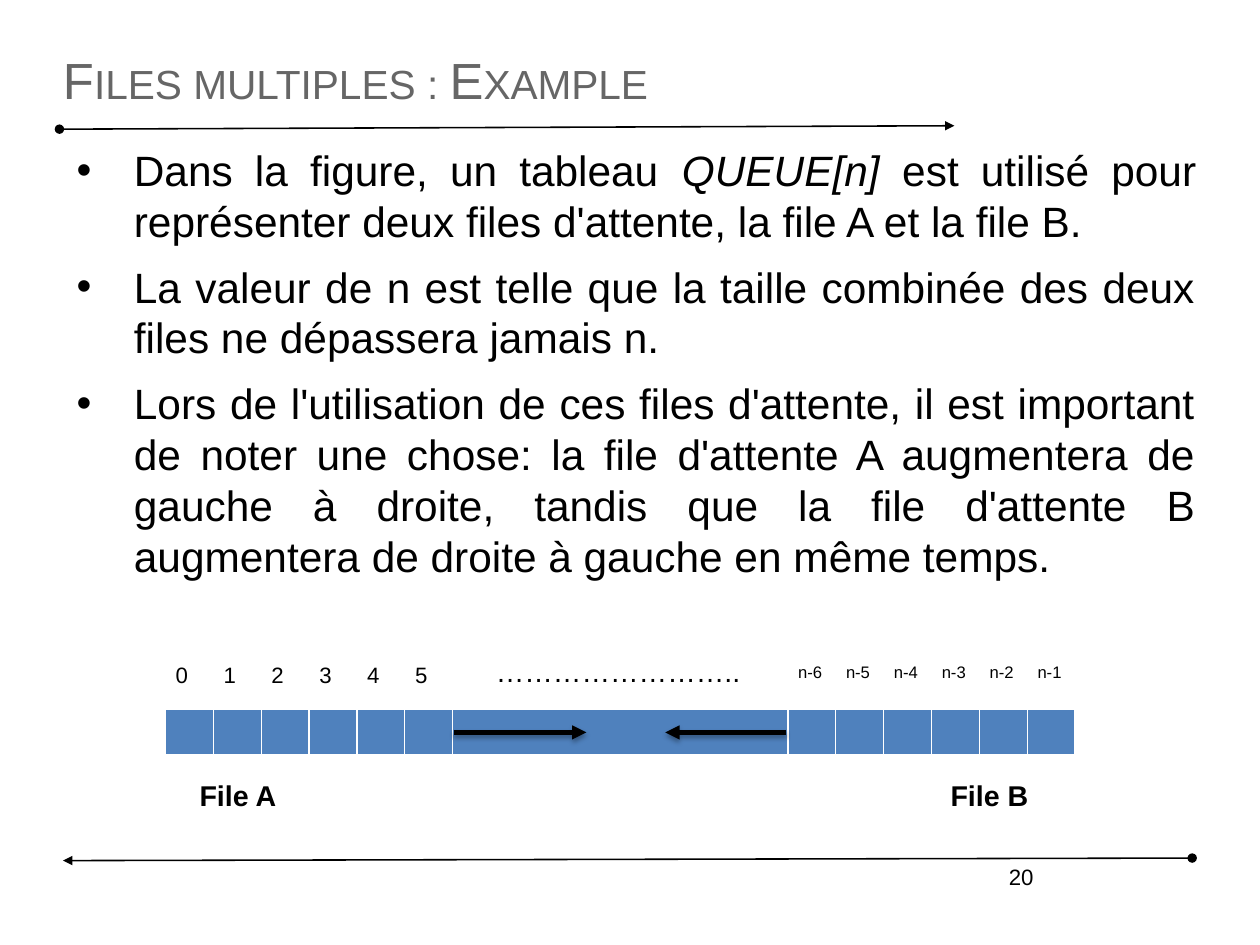
from lxml import etree
from pptx import Presentation
from pptx.dml.color import RGBColor
from pptx.enum.shapes import MSO_CONNECTOR
from pptx.enum.text import MSO_ANCHOR, MSO_AUTO_SIZE, PP_ALIGN
from pptx.oxml.ns import qn
from pptx.util import Cm, Inches, Pt

LEFT, RIGHT, JUSTIFY = PP_ALIGN.LEFT, PP_ALIGN.RIGHT, PP_ALIGN.JUSTIFY
TOP, MIDDLE = MSO_ANCHOR.TOP, MSO_ANCHOR.MIDDLE
NO_FIT = MSO_AUTO_SIZE.NONE
STRAIGHT = MSO_CONNECTOR.STRAIGHT

BLACK = RGBColor(0x00, 0x00, 0x00)
GREY = RGBColor(0x66, 0x66, 0x66)
WHITE = RGBColor(0xFF, 0xFF, 0xFF)
BLUE = RGBColor(0x4F, 0x81, 0xBD)

FONT = "Arial"
COLS, ROWS = 100, 75
CELL, GAP = 3.8, 7  # width of a queue cell; cells hidden in the middle gap

TITLE = "Files multiples : Example"
BULLETS = [
    [("Dans la figure, un tableau ", False), ("QUEUE[n]", True),
     (" est utilisé pour représenter deux files d'attente, "
      "la file A et la file B.", False)],
    [("La valeur de n est telle que la taille combinée des deux files "
      "ne dépassera jamais n.", False)],
    [("Lors de l'utilisation de ces files d'attente, il est important de "
      "noter une chose: la file d'attente A augmentera de gauche à droite, "
      "tandis que la file d'attente B augmentera de droite à gauche en même "
      "temps.", False)],
]
INDEXES = ([(str(i), 14) for i in range(6)] + [("", 14)]
           + [(f"n-{i}", 10.5) for i in range(6, 0, -1)])
# left, top, width, height, text, format
LABELS = [
    (59.6, 68.1, 23.32, 5.17, "20", {"size": 14, "align": RIGHT}),
    (14.95, 61.32, 8, 3.63, "File A", {"bold": True, "wrap": False}),
    (74.55, 61.32, 8.07, 3.63, "File B", {"bold": True, "wrap": False}),
    (38.46, 51.43, 21.23, 3.63, "……………………..", {}),
]
# start and end points
RULES = [((4.72, 10.25), (75.75, 9.98)), ((94.62, 68.1), (5, 68.3))]
ARROWS = [((62.4, 58.13), (52.8, 58.13)), ((36, 58.13), (46.54, 58.13))]


def add_xml(parent, tag, **attrs):
    return etree.SubElement(parent, qn(tag), attrs)


class Deck:
    """Style and current slide; lengths are columns and rows of the grid."""

    def __init__(self, prs):
        self.unit_x = prs.slide_width / COLS
        self.unit_y = prs.slide_height / ROWS
        self.slide = prs.slides.add_slide(prs.slide_layouts[1])

    def x(self, cols):
        return round(cols * self.unit_x)

    def y(self, rows):
        return round(rows * self.unit_y)

    def box(self, left, top, width, height):
        return self.x(left), self.y(top), self.x(width), self.y(height)

    def run(self, p, text, size=18, color=BLACK, **formats):
        r = p.add_run()
        r.text = text
        formats = {"name": FONT, "size": Pt(size), **formats}
        for name, value in formats.items():
            setattr(r.font, name, value)
        r.font.color.rgb = color
        return r

    def frame(self, s, box, anchor):
        """Move a placeholder and return its text frame without margins."""
        s.left, s.top, s.width, s.height = self.box(*box)
        tf = s.text_frame
        formats = {"margin_left": 0, "margin_top": 0, "margin_right": 0,
                   "margin_bottom": 0, "vertical_anchor": anchor,
                   "word_wrap": True, "auto_size": NO_FIT}
        for name, value in formats.items():
            setattr(tf, name, value)
        return tf

    def title(self, text, *box):
        p = self.frame(self.slide.shapes.title, box, MIDDLE).paragraphs[0]
        p.alignment = LEFT
        r = self.run(p, text, 32, GREY)
        r._r.get_or_add_rPr().set("cap", "small")

    def bullets(self, items, *box):
        tf = self.frame(self.slide.placeholders[1], box, TOP)
        for i, runs in enumerate(items):
            p = tf.add_paragraph() if i else tf.paragraphs[0]
            formats = {"alignment": JUSTIFY, "space_before": Pt(9.4),
                       "line_spacing": 1.0}
            for name, value in formats.items():
                setattr(p, name, value)
            pPr = p._p.get_or_add_pPr()
            pPr.set("marL", str(Inches(0.62)))
            pPr.set("indent", str(Inches(-0.5)))
            add_xml(pPr, "a:buFont", typeface=FONT)
            add_xml(pPr, "a:buChar", char="•")
            for text, italic in runs:
                self.run(p, text, 26.7, italic=italic)

    def label(self, left, top, width, height, text, align=LEFT, wrap=True,
              **formats):
        s = self.slide.shapes.add_textbox(*self.box(left, top, width, height))
        s.text_frame.word_wrap = wrap
        p = s.text_frame.paragraphs[0]
        p.alignment = align
        self.run(p, text, **formats)

    def line(self, start, end, width, head="none", shadow=False):
        s = self.slide.shapes.add_connector(
            STRAIGHT, self.x(start[0]), self.y(start[1]),
            self.x(end[0]), self.y(end[1]))
        s.line.color.rgb = BLACK
        s.line.width = Pt(width)
        ln = s.line._get_or_add_ln()
        add_xml(ln, "a:headEnd", type=head)
        add_xml(ln, "a:tailEnd", type="triangle")
        effects = add_xml(s._element.spPr, "a:effectLst")
        if shadow:
            outer = add_xml(effects, "a:outerShdw", blurRad=str(Pt(3.1)),
                            dist=str(Pt(1.8)), dir="5400000", rotWithShape="0")
            color = add_xml(outer, "a:srgbClr", val=str(BLACK))
            add_xml(color, "a:alpha", val="35000")

    def border(self, cell):
        tcPr = cell._tc.get_or_add_tcPr()
        sides = {"a:lnL": 1, "a:lnR": 1, "a:lnT": 1, "a:lnB": 3}
        for i, (side, width) in enumerate(sides.items()):
            ln = etree.Element(qn(side), w=str(Pt(width)))
            add_xml(add_xml(ln, "a:solidFill"), "a:srgbClr", val=str(WHITE))
            tcPr.insert(i, ln)

    def queue_row(self, left, top, height, texts=None):
        """One row of cells: filled and bordered, or bare with texts."""
        count = len(INDEXES)
        width = CELL * (count - 1 + GAP)
        table = self.slide.shapes.add_table(
            1, count, *self.box(left, top, width, height)).table
        table.first_row = table.horz_banding = False
        for i, cell in enumerate(table.iter_cells()):
            table.columns[i].width = self.x(
                CELL * (GAP if i == count // 2 else 1))
            if texts is None:
                cell.fill.solid()
                cell.fill.fore_color.rgb = BLUE
                self.border(cell)
                continue
            cell.fill.background()
            cell.margin_right = 0
            text, size = texts[i]
            if text:
                self.run(cell.text_frame.paragraphs[0], text, size)


def main():
    prs = Presentation()
    prs.slide_width, prs.slide_height = Cm(28), Cm(21)
    deck = Deck(prs)
    for start, end in RULES:
        deck.line(start, end, 1, head="oval")
    deck.title(TITLE, 5, 3, 90, 6.5)
    deck.bullets(BULLETS, 5, 11.43, 90, 39.5)
    deck.queue_row(13.13, 56.3, 3.72)
    for start, end in ARROWS:
        deck.line(start, end, 3, shadow=True)
    deck.queue_row(13.04, 52.22, 4.08, INDEXES)
    for label in LABELS:
        deck.label(*label[:5], **label[5])
    prs.save("out.pptx")


if __name__ == "__main__":
    main()
